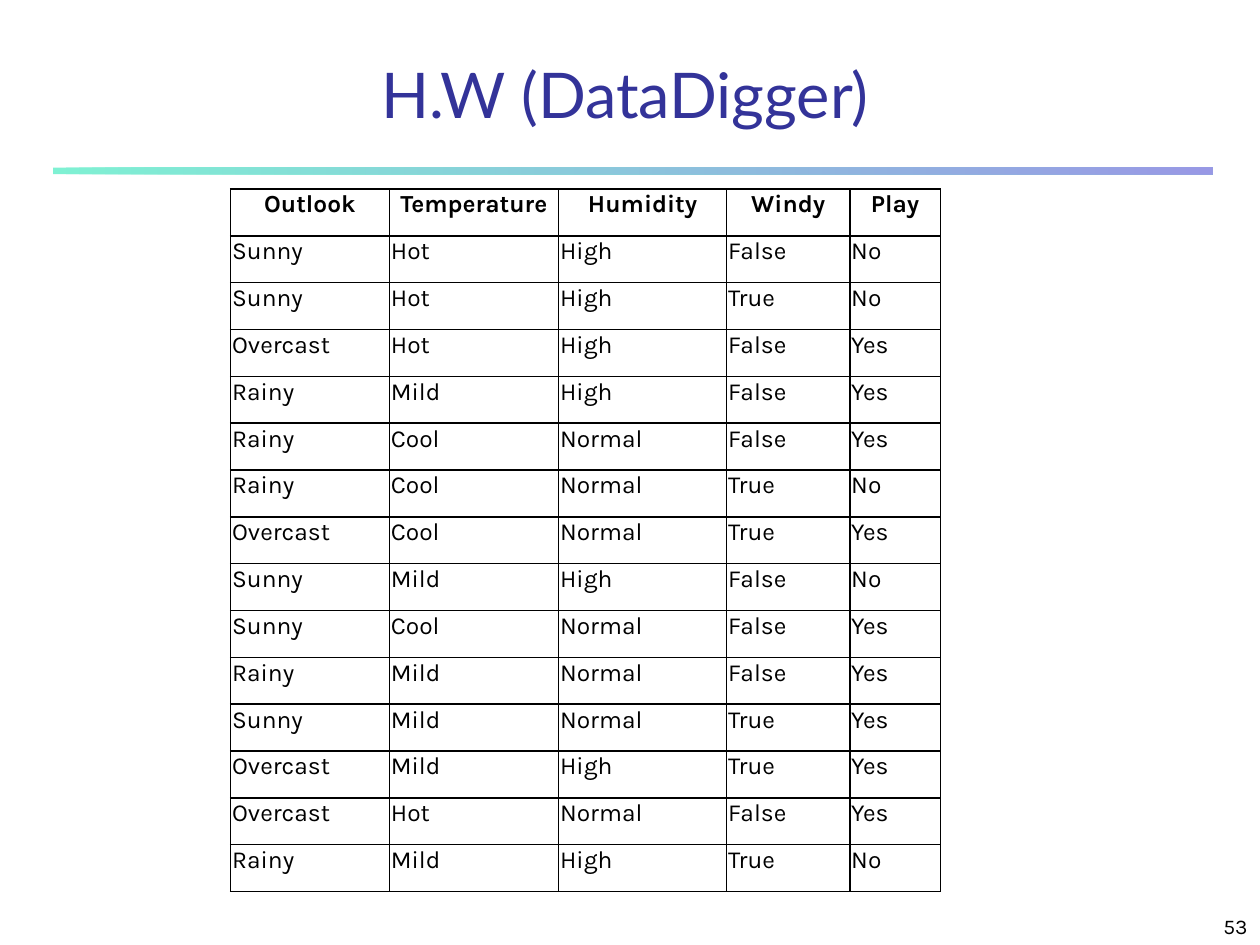
from typing import NamedTuple

from lxml import etree
from pptx import Presentation
from pptx import util as u
from pptx.dml.color import RGBColor
from pptx.enum import shapes, text
from pptx.oxml import ns
from pptx.util import Cm, Pt

BLACK = RGBColor(0x00, 0x00, 0x00)
TITLE_BLUE = RGBColor(0x33, 0x33, 0x99)
RULE_GREEN = RGBColor(0x00, 0xE4, 0xA8)
RULE_BLUE = RGBColor(0x33, 0x33, 0xCC)

BODY_FONT = "Karla"
COLUMN_WIDTHS = (3.2, 3.41, 3.39, 2.48, 1.83)
TABLE_HEIGHT = 14.17


class Box(NamedTuple):
    left: float
    top: float
    width: float
    height: float

    def lengths(self) -> tuple[u.Length, ...]:
        return tuple(Cm(value) for value in self)


class Label(NamedTuple):
    text: str
    box: Box
    align: text.PP_ALIGN
    font: str
    size: int
    color: RGBColor


class Day(NamedTuple):
    outlook: str
    temperature: str
    humidity: str
    windy: str
    play: str


LABELS = (
    Label("H.W (DataDigger)", Box(1.07, 1.07, 23.06, 1.7),
          text.PP_ALIGN.CENTER, "Lato", 36, TITLE_BLUE),
    Label("53", Box(20.12, 17.98, 5.28, 1.07),
          text.PP_ALIGN.RIGHT, BODY_FONT, 12, BLACK),
)

HEADER = Day("Outlook", "Temperature", "Humidity", "Windy", "Play")
DAYS = (
    Day("Sunny", "Hot", "High", "False", "No"),
    Day("Sunny", "Hot", "High", "True", "No"),
    Day("Overcast", "Hot", "High", "False", "Yes"),
    Day("Rainy", "Mild", "High", "False", "Yes"),
    Day("Rainy", "Cool", "Normal", "False", "Yes"),
    Day("Rainy", "Cool", "Normal", "True", "No"),
    Day("Overcast", "Cool", "Normal", "True", "Yes"),
    Day("Sunny", "Mild", "High", "False", "No"),
    Day("Sunny", "Cool", "Normal", "False", "Yes"),
    Day("Rainy", "Mild", "Normal", "False", "Yes"),
    Day("Sunny", "Mild", "Normal", "True", "Yes"),
    Day("Overcast", "Mild", "High", "True", "Yes"),
    Day("Overcast", "Hot", "Normal", "False", "Yes"),
    Day("Rainy", "Mild", "High", "True", "No"),
)


def format_paragraph(p, align, font: str, size: int, color: RGBColor,
                     bold: bool = False) -> None:
    p.alignment = align
    for r in p.runs:
        r.font.name = font
        r.font.size = Pt(size)
        r.font.bold = bold
        r.font.color.rgb = color


def add_label(s, label: Label) -> None:
    tf = s.shapes.add_textbox(*label.box.lengths()).text_frame
    tf.word_wrap = True
    tf.vertical_anchor = text.MSO_ANCHOR.BOTTOM
    tf.text = label.text
    format_paragraph(tf.paragraphs[0], label.align, label.font, label.size,
                     label.color)


def add_title_rule(s, box: Box) -> None:
    """Draw the half-transparent gradient bar under the title."""
    sp = s.shapes.add_shape(shapes.MSO_SHAPE.RECTANGLE, *box.lengths())
    sp.shadow.inherit = False
    sp.line.fill.background()
    sp.fill.gradient()
    sp.fill.gradient_angle = 0
    for stop, color in zip(sp.fill.gradient_stops, (RULE_GREEN, RULE_BLUE)):
        stop.color.rgb = color
    for color in sp.element.spPr.iter(ns.qn("a:srgbClr")):
        etree.SubElement(color, ns.qn("a:alpha"), val="50000")


def add_borders(cell) -> None:
    """Give all four sides of a cell a thin black line."""
    tc_pr = cell._tc.get_or_add_tcPr()
    for i, side in enumerate(("a:lnL", "a:lnR", "a:lnT", "a:lnB")):
        line = etree.Element(ns.qn(side), w=str(Pt(1)))
        fill = etree.SubElement(line, ns.qn("a:solidFill"))
        etree.SubElement(fill, ns.qn("a:srgbClr"), val=str(BLACK))
        tc_pr.insert(i, line)


def fill_cell(cell, value: str, is_header: bool) -> None:
    cell.margin_left = cell.margin_right = cell.margin_top = Cm(0.03)
    cell.margin_bottom = Cm(0)
    cell.fill.background()
    add_borders(cell)
    cell.text_frame.text = value
    align = text.PP_ALIGN.CENTER if is_header else text.PP_ALIGN.LEFT
    format_paragraph(cell.text_frame.paragraphs[0], align, BODY_FONT, 14,
                     BLACK, is_header)


def add_weather_table(s, left: float, top: float) -> None:
    rows = (HEADER, *DAYS)
    box = Box(left, top, sum(COLUMN_WIDTHS), TABLE_HEIGHT)
    table = s.shapes.add_table(len(rows), len(HEADER), *box.lengths()).table
    table.first_row = table.horz_banding = False
    for column, width in zip(table.columns, COLUMN_WIDTHS):
        column.width = Cm(width)
    for i, day in enumerate(rows):
        table.rows[i].height = Cm(TABLE_HEIGHT / len(rows))
        for j, value in enumerate(day):
            fill_cell(table.cell(i, j), value, is_header=i == 0)


def main() -> None:
    prs = Presentation()
    prs.slide_width, prs.slide_height = Cm(25.4), Cm(19.05)
    s = prs.slides.add_slide(prs.slide_layouts[6])
    add_title_rule(s, Box(1.07, 3.38, 23.37, 0.13))
    add_weather_table(s, 4.65, 3.81)
    for label in LABELS:
        add_label(s, label)
    prs.save("out.pptx")


if __name__ == "__main__":
    main()
